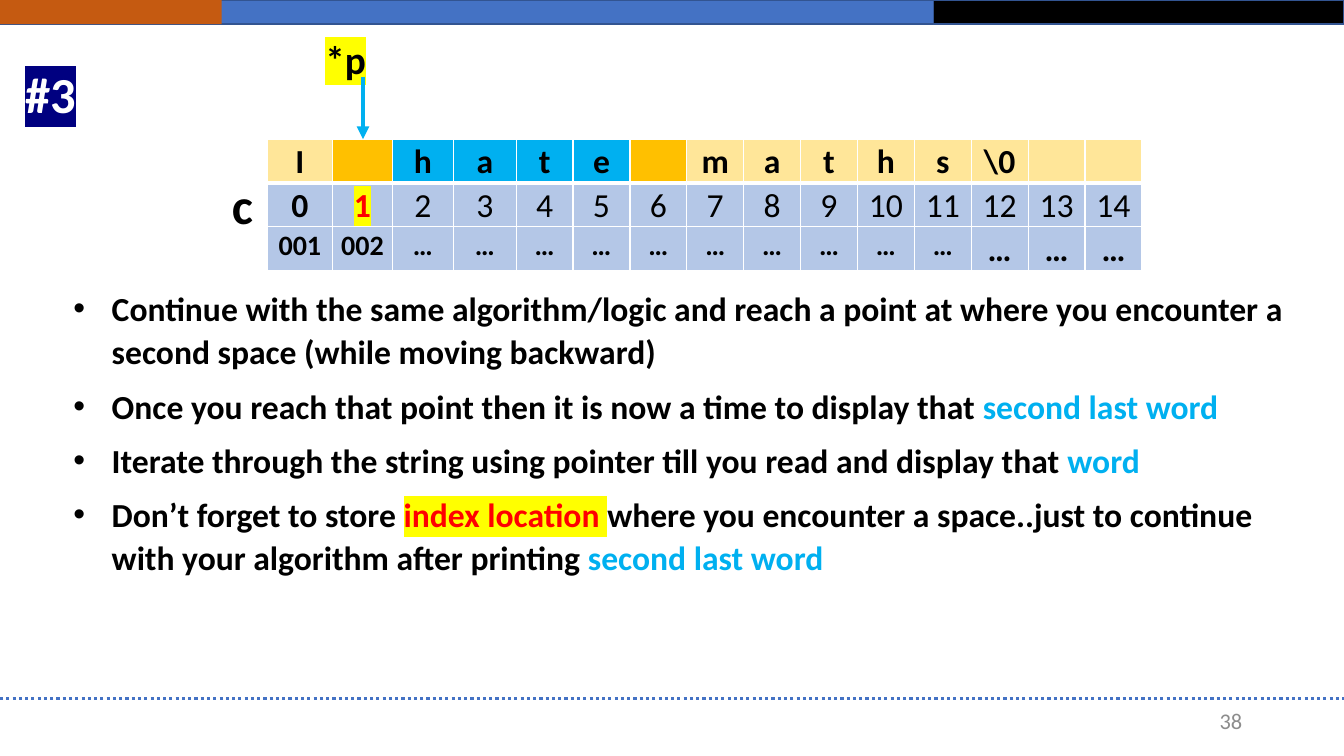
from dataclasses import dataclass

from lxml.etree import SubElement
from pptx import Presentation
from pptx.dml.color import RGBColor
from pptx.enum.dml import MSO_LINE
from pptx.enum.shapes import MSO_CONNECTOR, MSO_SHAPE
from pptx.enum.text import MSO_ANCHOR, MSO_AUTO_SIZE, PP_ALIGN
from pptx.oxml.ns import qn
from pptx.util import Inches, Pt

COLORS = {
    "black": "000000", "white": "FFFFFF", "blue": "4472C4", "edge": "325491",
    "rust": "C55A11", "gray": "8C8C8C", "sand": "FFE699", "amber": "FFC000",
    "sky": "00B0F0", "pale": "B4C7E7", "red": "FF0000", "yellow": "FFFF00",
    "navy": "000080",
}
FONT = "Calibri"


@dataclass
class Span:
    text: str
    color: str = "black"
    highlight: str = ""


@dataclass
class Bar:
    left: float
    width: float
    color: str
    outlined: bool = True


@dataclass
class Label:
    left: float
    top: float
    width: float
    height: float
    span: Span
    size: int
    align: PP_ALIGN = PP_ALIGN.JUSTIFY
    spacing: float = 1.0
    bold: bool = True
    grow: bool = True


BARS = [
    Bar(0, 9.26, "blue"),
    Bar(9.26, 4.07, "black"),
    Bar(0, 2.2, "rust", outlined=False),
]
LABELS = [
    Label(9.42, 6.95, 3, 0.4, Span("38", "gray"), 16, PP_ALIGN.RIGHT, bold=False, grow=False),
    Label(1.99, 1.38, 0.83, 0.92, Span("c"), 36, PP_ALIGN.CENTER, 1.5),
    Label(3.13, 0.3, 0.96, 0.57, Span("*p", highlight="yellow"), 28),
    Label(0.15, 0.58, 0.96, 0.71, Span("#3", "white", "navy"), 36),
]
STEPS = [
    [Span("Continue with the same algorithm/logic and reach a point at where you "
          "encounter a second space (while moving backward)")],
    [Span("Once you reach that point then it is now a time to display that "),
     Span("second last word", "sky")],
    [Span("Iterate through the string using pointer till you read and display that"),
     Span(" word", "sky")],
    [Span("Don’t forget to store "), Span("index location ", "red", "yellow"),
     Span("where you encounter a space..just to continue with your algorithm after printing "),
     Span("second last word", "sky")],
]
LETTERS = [*"I hate maths", "\\0", "", ""]
COUNT = len(LETTERS)
ADDRESSES = ["001", "002"] + ["…"] * (COUNT - 2)
FIRST_WIDTHS = [0.65, 0.59, 0.61, 0.62]
TABLE_WIDTH = 8.68
HATE_COLUMNS = range(2, 6)
POINTED = 1


def rgb(name: str) -> RGBColor:
    return RGBColor.from_string(COLORS[name])


def write_spans(paragraph, spans: list[Span], size: int, bold: bool) -> None:
    font = paragraph.font
    font.name, font.size, font.bold = FONT, Pt(size), bold
    shared = len({span.color for span in spans}) == 1
    if shared:
        font.color.rgb = rgb(spans[0].color)
    for span in spans:
        run = paragraph.add_run()
        run.text = span.text
        if not shared or span.highlight:
            run.font.color.rgb = rgb(span.color)
        if span.highlight:
            mark = SubElement(run.font._element, qn("a:highlight"))
            SubElement(mark, qn("a:srgbClr"), val=COLORS[span.highlight])


def add_box(page, left: float, top: float, width: float, height: float, grow: bool = True):
    box = page.shapes.add_textbox(Inches(left), Inches(top), Inches(width), Inches(height))
    frame = box.text_frame
    frame.word_wrap = True
    frame.auto_size = MSO_AUTO_SIZE.SHAPE_TO_FIT_TEXT if grow else MSO_AUTO_SIZE.NONE
    return frame


def add_label(page, label: Label) -> None:
    frame = add_box(page, label.left, label.top, label.width, label.height, label.grow)
    if not label.grow:
        frame.vertical_anchor = MSO_ANCHOR.MIDDLE
    paragraph = frame.paragraphs[0]
    paragraph.alignment, paragraph.line_spacing = label.align, label.spacing
    write_spans(paragraph, [label.span], label.size, label.bold)


def add_bar(page, bar: Bar) -> None:
    shape = page.shapes.add_shape(
        MSO_SHAPE.RECTANGLE, Inches(bar.left), 0, Inches(bar.width), Inches(0.24))
    shape.shadow.inherit = False
    shape.fill.solid()
    shape.fill.fore_color.rgb = rgb(bar.color)
    if bar.outlined:
        shape.line.color.rgb = rgb("edge")
        shape.line.width = Pt(1)
    else:
        shape.line.fill.background()


def add_line(page, start: tuple[float, float], end: tuple[float, float], color: str, width: float):
    line = page.shapes.add_connector(
        MSO_CONNECTOR.STRAIGHT, *(Inches(value) for value in start + end))
    line.line.color.rgb = rgb(color)
    line.line.width = Pt(width)
    SubElement(line._element.spPr, qn("a:effectLst"))
    return line.line


def set_borders(cell, top: int, bottom: int) -> None:
    properties = cell._tc.get_or_add_tcPr()
    for tag, width in (("lnL", 1), ("lnR", 1), ("lnT", top), ("lnB", bottom)):
        border = SubElement(properties, qn(f"a:{tag}"), w=str(Pt(width)))
        fill = SubElement(border, qn("a:solidFill"))
        SubElement(fill, qn("a:srgbClr"), val=COLORS["white"])


def fill_cell(cell, span: Span, size: int, bold: bool, fill: str) -> None:
    cell.margin_left = cell.margin_right = Inches(0.07)
    cell.margin_top = cell.margin_bottom = 0
    cell.fill.solid()
    cell.fill.fore_color.rgb = rgb(fill)
    paragraph = cell.text_frame.paragraphs[0]
    paragraph.alignment, paragraph.line_spacing = PP_ALIGN.CENTER, 1.07
    write_spans(paragraph, [span] if span.text.strip() else [Span("")], size, bold)


def letter_fill(column: int) -> str:
    if LETTERS[column] == " ":
        return "amber"
    return "sky" if column in HATE_COLUMNS else "sand"


def add_memory_table(page) -> None:
    table = page.shapes.add_table(
        3, COUNT, Inches(2.65), Inches(1.38), Inches(TABLE_WIDTH), Inches(1.23)).table
    table.first_row = table.horz_banding = False
    rest = (TABLE_WIDTH - sum(FIRST_WIDTHS)) / (COUNT - len(FIRST_WIDTHS))
    for row in table.rows:
        row.height = Inches(0.36)
    for column in range(COUNT):
        width = FIRST_WIDTHS[column] if column < len(FIRST_WIDTHS) else rest
        table.columns[column].width = Inches(width)
        index = Span(str(column), "red", "yellow") if column == POINTED else Span(str(column))
        address_size = 20 if column < 12 else 24
        cells = [table.cell(row, column) for row in range(3)]
        for cell, (top, bottom) in zip(cells, [(1, 3), (3, 1), (1, 1)]):
            set_borders(cell, top, bottom)
        fill_cell(cells[0], Span(LETTERS[column]), 24, True, letter_fill(column))
        fill_cell(cells[1], index, 24, column <= POINTED, "pale")
        fill_cell(cells[2], Span(ADDRESSES[column]), address_size, True, "pale")


def add_steps(page) -> None:
    frame = add_box(page, 0.63, 2.78, 12.38, 3.01)
    for number, spans in enumerate(STEPS):
        paragraph = frame.add_paragraph() if number else frame.paragraphs[0]
        paragraph.line_spacing, paragraph.space_after = 1.07, Pt(8)
        properties = paragraph._p.get_or_add_pPr()
        properties.set("marL", str(Inches(0.38)))
        properties.set("indent", str(-Inches(0.38)))
        SubElement(properties, qn("a:buFont"), typeface="Arial")
        SubElement(properties, qn("a:buChar"), char="•")
        write_spans(paragraph, spans, 24, True)


def main() -> None:
    deck = Presentation()
    deck.slide_width, deck.slide_height = Inches(13.33), Inches(7.5)
    page = deck.slides.add_slide(deck.slide_layouts[6])
    for bar in BARS:
        add_bar(page, bar)
    add_line(page, (0, 6.93), (13.33, 6.93), "blue", 2.25).dash_style = MSO_LINE.ROUND_DOT
    add_memory_table(page)
    add_steps(page)
    for label in LABELS:
        add_label(page, label)
    arrow = add_line(page, (3.6, 0.76), (3.6, 1.38), "sky", 3)
    SubElement(arrow._get_or_add_ln(), qn("a:tailEnd"), type="triangle")
    deck.save("out.pptx")


if __name__ == "__main__":
    main()
